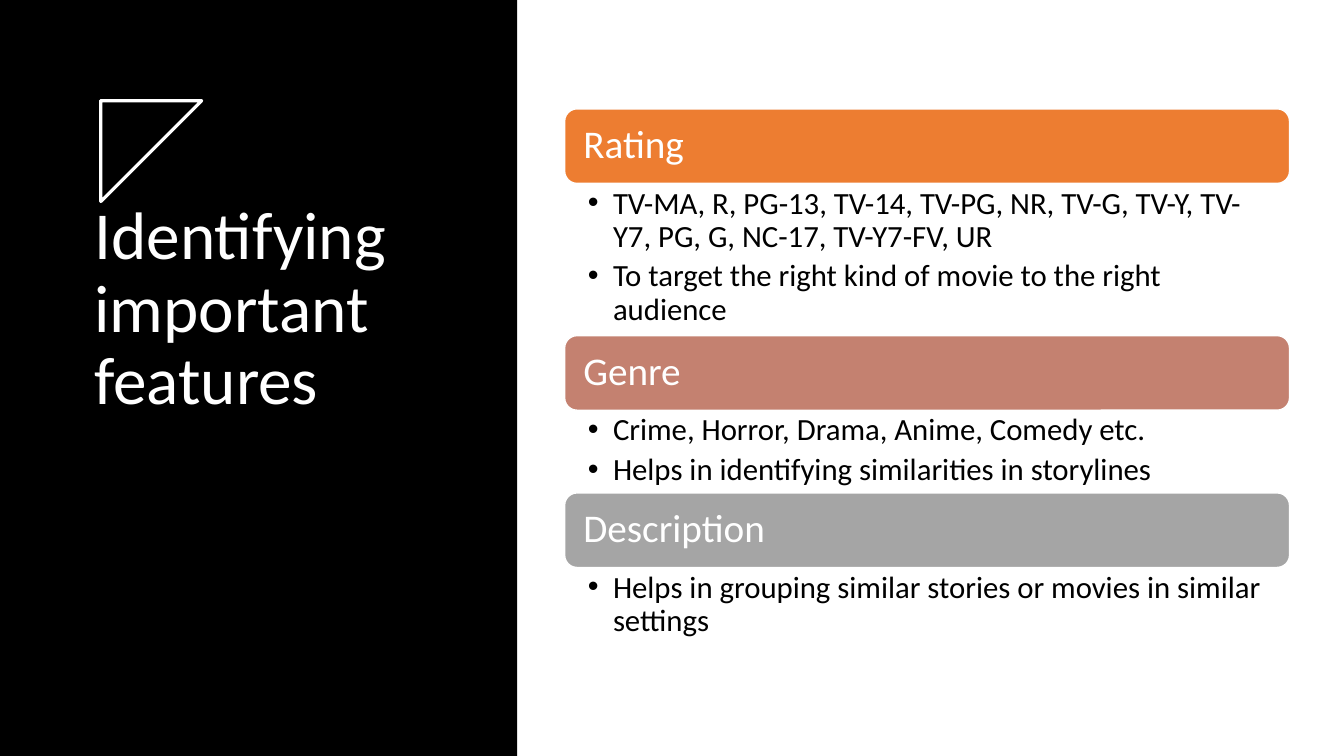
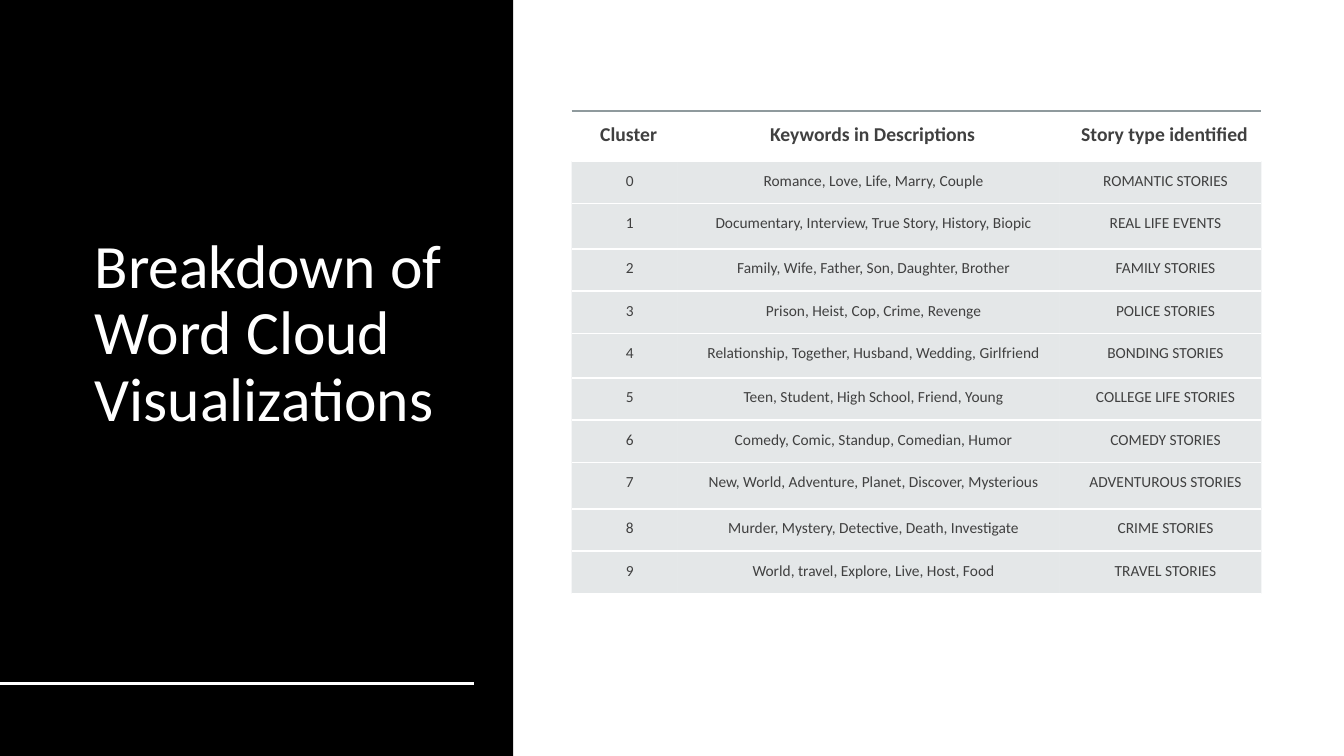
from dataclasses import dataclass
from math import cos, pi, sin

from lxml.etree import SubElement
from pptx import Presentation
from pptx.dml.color import RGBColor
from pptx.enum.shapes import MSO_CONNECTOR, MSO_SHAPE
from pptx.enum.text import MSO_ANCHOR, PP_ALIGN
from pptx.oxml import parse_xml
from pptx.oxml.ns import nsdecls, qn
from pptx.util import Inches, Pt


@dataclass(frozen=True)
class Theme:
    font: str = "Calibri"
    black: str = "000000"
    white: str = "FFFFFF"
    orange: str = "ED7D31"
    terracotta: str = "C48170"
    gray: str = "A5A5A5"
    table_text: str = "404040"
    table_fill: str = "B4BCBE"
    table_fill_alpha: int = 35
    table_rule: str = "8F9A9D"
    table_rule_alpha: int = 60
    heading_size: int = 28
    bullet_size: int = 22
    table_heading_size: int = 14
    table_size: int = 11
    line_spacing: float = 0.9
    no_grid_style: str = "{2D5ABB26-0587-4C30-8999-92F81FD0307C}"


THEME = Theme()

FEATURES = [
    ("Rating", THEME.orange, 1.51, [
        "TV-MA, R, PG-13, TV-14, TV-PG, NR, TV-G, TV-Y, TV-Y7, PG, G, NC-17, TV-Y7-FV, UR",
        "To target the right kind of movie to the right audience",
    ]),
    ("Genre", THEME.terracotta, 0.82, [
        "Crime, Horror, Drama, Anime, Comedy etc.",
        "Helps in identifying similarities in storylines",
    ]),
    ("Description", THEME.gray, 0.76, [
        "Helps in grouping similar stories or movies in similar settings",
    ]),
]

CLUSTER_HEADINGS = ("Cluster", "Keywords in Descriptions", "Story type identified")
CLUSTERS = [
    ("Romance, Love, Life, Marry, Couple", "ROMANTIC STORIES"),
    ("Documentary, Interview, True Story, History, Biopic", "REAL LIFE EVENTS"),
    ("Family, Wife, Father, Son, Daughter, Brother", "FAMILY STORIES"),
    ("Prison, Heist, Cop, Crime, Revenge", "POLICE STORIES"),
    ("Relationship, Together, Husband, Wedding, Girlfriend", "BONDING STORIES"),
    ("Teen, Student, High School, Friend, Young", "COLLEGE LIFE STORIES"),
    ("Comedy, Comic, Standup, Comedian, Humor", "COMEDY STORIES"),
    ("New, World, Adventure, Planet, Discover, Mysterious", "ADVENTUROUS STORIES"),
    ("Murder, Mystery, Detective, Death, Investigate", "CRIME STORIES"),
    ("World, travel, Explore, Live, Host, Food", "TRAVEL STORIES"),
]
COLUMN_WIDTHS = (1.05, 3.79, 2)
ROW_HEIGHTS = (0.5, 0.42, 0.45, 0.42, 0.42, 0.44, 0.42, 0.42, 0.46, 0.42, 0.42)


def rounded_hexagon_points(center_x, center_y, radius, rounding=0.1, steps=6):
    """Outline of a flat-topped hexagon whose corners are quadratic curves."""
    corners = [(center_x + radius * cos(i * pi / 3), center_y + radius * sin(i * pi / 3))
               for i in range(6)]
    points = []
    for i, corner in enumerate(corners):
        before, after = corners[i - 1], corners[(i + 1) % 6]
        for step in range(steps + 1):
            t = step / steps
            toward_before, toward_after = rounding * (1 - t) ** 2, rounding * t ** 2
            points.append(tuple(
                c + toward_before * (b - c) + toward_after * (a - c)
                for b, c, a in zip(before, corner, after)))
    return points


class Deck:
    def __init__(self, theme):
        self.theme = theme
        self.presentation = Presentation()
        self.presentation.slide_width = Inches(13.33)
        self.presentation.slide_height = Inches(7.5)
        self.slide = None

    def add_slide(self, panel_width):
        """Start a blank slide with the black panel on its left."""
        self.slide = self.presentation.slides.add_slide(self.presentation.slide_layouts[6])
        self.box(MSO_SHAPE.RECTANGLE, 0, 0, panel_width, 7.5, self.theme.black)

    def box(self, kind, left, top, width, height, fill, line=None):
        shape = self.slide.shapes.add_shape(
            kind, Inches(left), Inches(top), Inches(width), Inches(height))
        shape.shadow.inherit = False
        shape.fill.solid()
        shape.fill.fore_color.rgb = RGBColor.from_string(fill)
        if line:
            self.style_line(shape.line, line, 1)
        else:
            shape.line.fill.background()
        return shape

    def style_line(self, line, color, width):
        line.color.rgb = RGBColor.from_string(color)
        line.width = Pt(width)

    def set_insets(self, target, *insets):
        """Insets in inches: left, top, right, bottom."""
        (target.margin_left, target.margin_top,
         target.margin_right, target.margin_bottom) = map(Inches, insets)

    def format_text(self, text_frame, size, color, bold=False, alignment=PP_ALIGN.LEFT,
                    line_spacing=None):
        for paragraph in text_frame.paragraphs:
            paragraph.alignment = alignment
            paragraph.line_spacing = line_spacing
            for run in paragraph.runs:
                run.font.name = self.theme.font
                run.font.size = Pt(size)
                run.font.bold = bold
                run.font.color.rgb = RGBColor.from_string(color)

    def text_box(self, text, left, top, width, height, size, color, anchor=MSO_ANCHOR.TOP):
        shape = self.slide.shapes.add_textbox(
            Inches(left), Inches(top), Inches(width), Inches(height))
        text_frame = shape.text_frame
        text_frame.word_wrap = True
        text_frame.vertical_anchor = anchor
        text_frame.text = text
        self.format_text(text_frame, size, color, line_spacing=self.theme.line_spacing)
        return text_frame

    def title(self, text, top, height, size, anchor=MSO_ANCHOR.TOP):
        self.text_box(text, 0.84, top, 3.9, height, size, self.theme.white, anchor)

    def hexagon(self, center_x, center_y, radius):
        points = rounded_hexagon_points(center_x, center_y, radius)
        builder = self.slide.shapes.build_freeform(*points[0], scale=Inches(1))
        builder.add_line_segments(points[1:], close=True)
        shape = builder.convert_to_shape()
        shape.shadow.inherit = False
        shape.fill.background()
        self.style_line(shape.line, self.theme.white, 2.25)

    def heading_bar(self, text, left, top, width, height, fill):
        shape = self.box(MSO_SHAPE.ROUNDED_RECTANGLE, left, top, width, height,
                         fill, self.theme.white)
        text_frame = shape.text_frame
        text_frame.vertical_anchor = MSO_ANCHOR.MIDDLE
        self.set_insets(text_frame, 0.15, 0.12, 0.15, 0.12)
        text_frame.text = text
        self.format_text(text_frame, self.theme.heading_size, self.theme.white,
                         line_spacing=self.theme.line_spacing)

    def bullets(self, items, left, top, width, height):
        text_frame = self.text_box("\n".join(items), left, top, width, height,
                                   self.theme.bullet_size, self.theme.black)
        self.set_insets(text_frame, 0.23, 0.04, 0.22, 0.04)
        for paragraph in text_frame.paragraphs:
            paragraph.space_after = Pt(0.2 * self.theme.bullet_size)
            properties = paragraph._p.get_or_add_pPr()
            properties.set("marL", str(Inches(0.25)))
            properties.set("indent", str(-Inches(0.25)))
            SubElement(properties, qn("a:buFont")).set("typeface", "Arial")
            SubElement(properties, qn("a:buChar")).set("char", "•")

    def rule(self, left, top, right):
        connector = self.slide.shapes.add_connector(
            MSO_CONNECTOR.STRAIGHT, Inches(left), Inches(top), Inches(right), Inches(top))
        self.style_line(connector.line, self.theme.white, 2)
        SubElement(connector._element.spPr, qn("a:effectLst"))

    def table(self, rows, left, top, column_widths, row_heights):
        frame = self.slide.shapes.add_table(
            len(rows), len(column_widths), Inches(left), Inches(top),
            Inches(sum(column_widths)), Inches(sum(row_heights)))
        table = frame.table
        table.first_row = table.horz_banding = False
        table._tbl.tblPr.find(qn("a:tableStyleId")).text = self.theme.no_grid_style
        for column, width in zip(table.columns, column_widths):
            column.width = Inches(width)
        for row, height, texts in zip(table.rows, row_heights, rows):
            row.height = Inches(height)
            for cell, text in zip(row.cells, texts):
                cell.text_frame.text = text
                self.style_cell(cell, is_heading=row is table.rows[0] or texts is rows[0])

    def style_cell(self, cell, is_heading):
        theme = self.theme
        inset = 0.12 if is_heading else 0.1
        self.set_insets(cell, 0.2, inset, inset, inset)
        size = theme.table_heading_size if is_heading else theme.table_size
        self.format_text(cell.text_frame, size, theme.table_text, is_heading, PP_ALIGN.CENTER)
        if is_heading:
            cell.fill.background()
            self.cell_border(cell, "lnB", theme.white)
            self.cell_border(cell, "lnT", theme.table_rule, theme.table_rule_alpha)
        else:
            cell.fill.solid()
            cell.fill.fore_color.rgb = RGBColor.from_string(theme.table_fill)
            color = cell._tc.tcPr.find(f"{qn('a:solidFill')}/{qn('a:srgbClr')}")
            SubElement(color, qn("a:alpha")).set("val", str(theme.table_fill_alpha * 1000))
            self.cell_border(cell, "lnB", theme.white)
            self.cell_border(cell, "lnT", theme.white)

    def cell_border(self, cell, side, color, alpha=100):
        """Put a border first in the cell properties, so add lnB before lnT."""
        cell._tc.get_or_add_tcPr().insert(0, parse_xml(
            f'<a:{side} {nsdecls("a")} w="{Pt(1.5)}"><a:solidFill><a:srgbClr val="{color}">'
            f'<a:alpha val="{alpha * 1000}"/></a:srgbClr></a:solidFill>'
            f'<a:prstDash val="solid"/></a:{side}>'))


def build_features(deck):
    deck.add_slide(panel_width=5.13)
    deck.title("Identifying important features", 1.95, 3.5, 48)
    deck.hexagon(1.21, 1.34, 0.38)
    deck.hexagon(1.77, 1.01, 0.31)
    left, top, width, bar_height = 5.6, 1.08, 7.19, 0.74
    for heading, color, body_height, items in FEATURES:
        deck.heading_bar(heading, left, top, width, bar_height, color)
        deck.bullets(items, left, top + bar_height, width, body_height)
        top += bar_height + body_height


def build_clusters(deck):
    deck.add_slide(panel_width=5.09)
    deck.title("Breakdown of Word Cloud Visualizations", 0.61, 5.42, 44, MSO_ANCHOR.MIDDLE)
    deck.rule(0, 6.78, 4.7)
    rows = [CLUSTER_HEADINGS]
    rows += [(str(number), *cluster) for number, cluster in enumerate(CLUSTERS)]
    deck.table(rows, 5.67, 1.1, COLUMN_WIDTHS, ROW_HEIGHTS)


def main():
    deck = Deck(THEME)
    build_features(deck)
    build_clusters(deck)
    deck.presentation.save("out.pptx")


if __name__ == "__main__":
    main()
